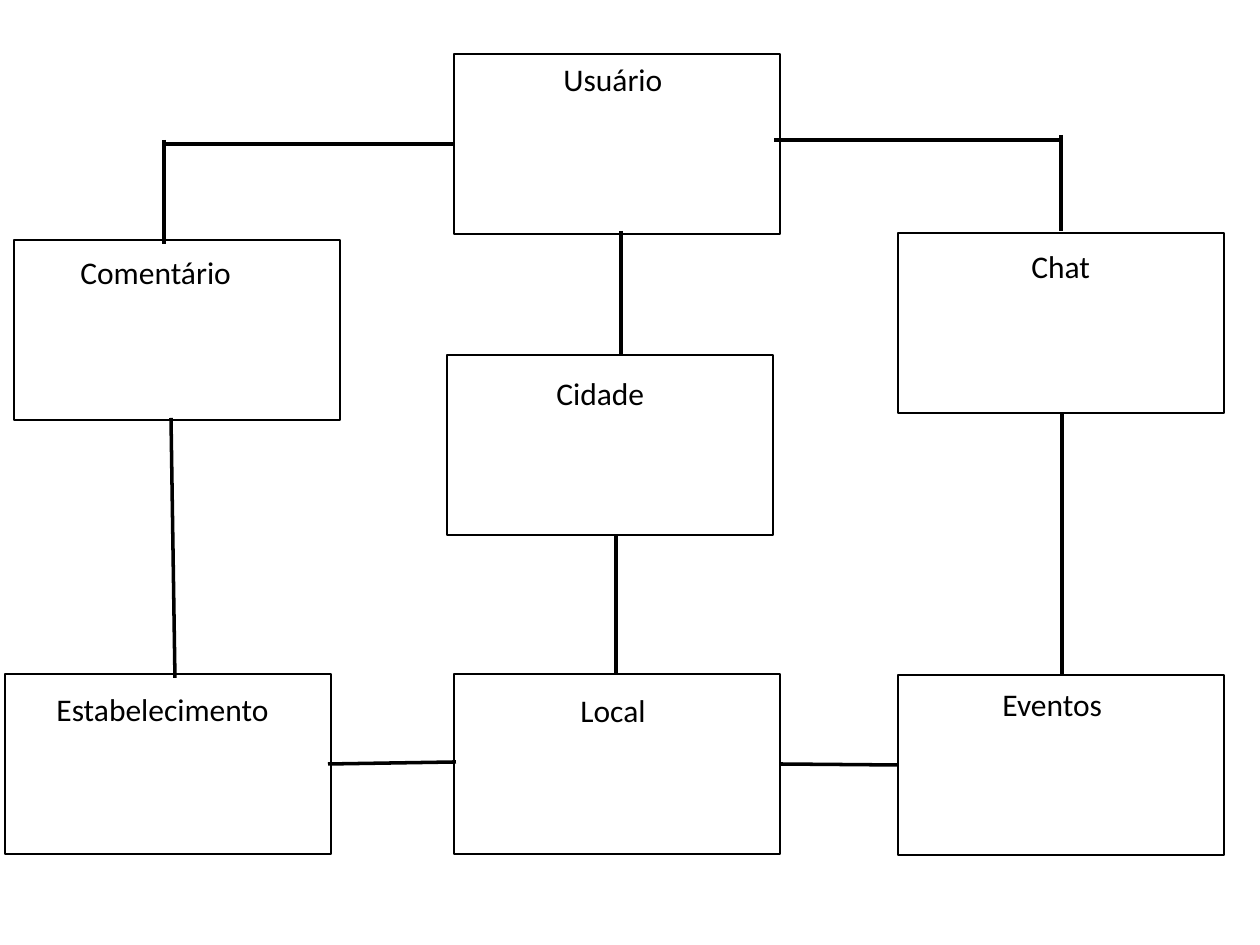
import dataclasses

import pptx
import pptx.dml.color
import pptx.enum.shapes
import pptx.enum.text
import pptx.oxml.ns
import pptx.slide
import pptx.util
from lxml import etree

EMU_PER_PX = 914400 / 126
BOX_W, BOX_H = 326, 180
LABEL_H = 50
BLACK = "000000"


@dataclasses.dataclass(frozen=True)
class Entity:
    name: str
    x: int
    y: int
    label_x: int
    label_y: int
    label_w: int


@dataclasses.dataclass(frozen=True)
class Link:
    x1: int
    y1: int
    x2: int
    y2: int


ENTITIES = [
    Entity("Usuário", 454, 54, 551, 54, 131),
    Entity("Cidade", 447, 355, 544, 368, 131),
    Entity("Local", 454, 674, 568, 685, 106),
    Entity("Eventos", 898, 675, 990, 679, 142),
    Entity("Estabelecimento", 5, 674, 44, 684, 247),
    Entity("Chat", 898, 233, 1019, 241, 86),
    Entity("Comentário", 14, 240, 68, 247, 189),
]

LINKS = [
    Link(621, 231, 621, 355),    # Usuário - Cidade
    Link(616, 536, 616, 674),    # Cidade - Local
    Link(780, 764, 898, 765),    # Local - Eventos
    Link(1062, 413, 1062, 675),  # Chat - Eventos
    Link(171, 418, 175, 678),    # Comentário - Estabelecimento
    Link(328, 764, 456, 762),    # Estabelecimento - Local
    Link(164, 140, 164, 244),    # Usuário - Comentário, two segments
    Link(454, 144, 164, 144),
    Link(1062, 140, 774, 140),   # Usuário - Chat, two segments
    Link(1061, 135, 1061, 231),
]


def px(n: int) -> pptx.util.Emu:
    return pptx.util.Emu(round(n * EMU_PER_PX))


def color(value: str) -> pptx.dml.color.RGBColor:
    return pptx.dml.color.RGBColor.from_string(value)


def draw_entity(s: pptx.slide.Slide, e: Entity) -> None:
    # Outlined box
    sp = s.shapes.add_shape(pptx.enum.shapes.MSO_SHAPE.RECTANGLE,
                            px(e.x), px(e.y), px(BOX_W), px(BOX_H))
    sp.shadow.inherit = False
    sp.fill.background()
    sp.line.color.rgb = color(BLACK)
    sp.line.width = pptx.util.Pt(1)

    # Name
    label = s.shapes.add_textbox(px(e.label_x), px(e.label_y),
                                 px(e.label_w), px(LABEL_H))
    tf = label.text_frame
    tf.word_wrap = True
    tf.auto_size = pptx.enum.text.MSO_AUTO_SIZE.SHAPE_TO_FIT_TEXT
    tf.text = e.name
    r = tf.paragraphs[0].runs[0]
    r.font.name = "Calibri"
    r.font.size = pptx.util.Pt(18)
    r.font.color.rgb = color(BLACK)


def draw_link(s: pptx.slide.Slide, link: Link) -> None:
    cn = s.shapes.add_connector(pptx.enum.shapes.MSO_CONNECTOR.STRAIGHT,
                                px(link.x1), px(link.y1),
                                px(link.x2), px(link.y2))
    cn.line.color.rgb = color(BLACK)
    cn.line.width = pptx.util.Pt(2)
    etree.SubElement(cn._element.spPr, pptx.oxml.ns.qn("a:effectLst"))


def main() -> None:
    prs = pptx.Presentation()
    prs.slide_width, prs.slide_height = px(1260), px(945)
    s = prs.slides.add_slide(prs.slide_layouts[6])
    for entity in ENTITIES:
        draw_entity(s, entity)
    for link in LINKS:
        draw_link(s, link)
    prs.save("out.pptx")


if __name__ == "__main__":
    main()
